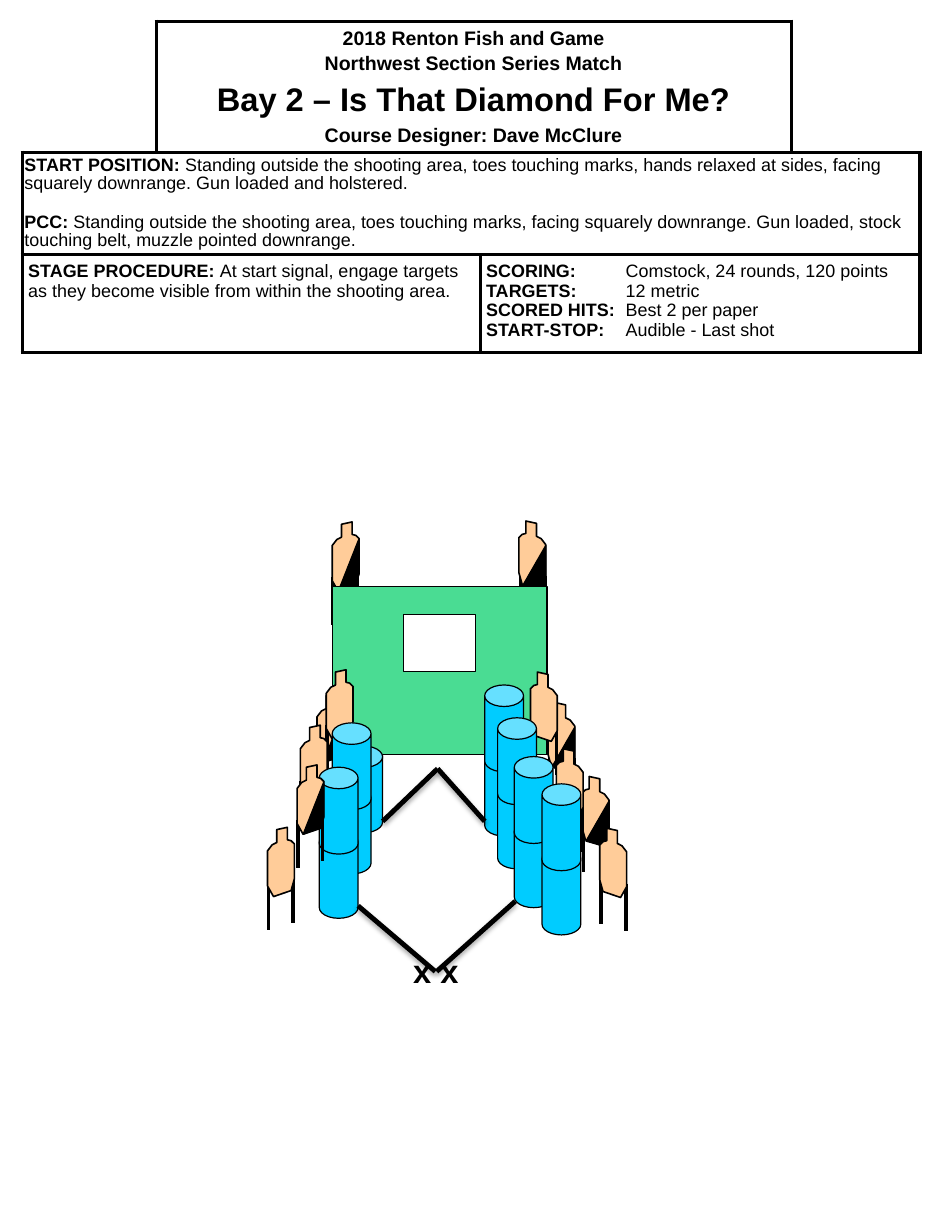
import pptx
import pptx.dml.color
import pptx.enum.shapes
import pptx.enum.text
import pptx.oxml
import pptx.oxml.ns
import pptx.util
from lxml import etree

Cm = pptx.util.Cm
Pt = pptx.util.Pt

COLORS = {"ink": "000000", "paper": "FFFFFF", "card": "FFCC99", "wall": "4ADC93", "barrel": "00CCFF"}

TARGET_WIDTH = 0.58
TARGET_OUTLINE = [(0.2, 0.05), (0.43, 0), (0.43, 0.27), (0.51, 0.29), (0.58, 0.36), (0.58, 1.12),
                  (0.51, 1.37), (0.13, 1.5), (0, 1.27), (0, 0.51), (0.1, 0.38), (0.2, 0.33)]
TARGET_LEGS = [(0.02, 1.2), (0.55, 1.04)]
LEG_HEIGHT = 1.03
SHADES = {"left": [(0.13, 1.5), (0.51, 1.37), (0.58, 1.12), (0.58, 0.36)],
          "right": [(0.08, 1.4), (0.43, 1.5), (0.58, 1.27), (0.58, 0.53)]}

BARREL_WIDTH, BARREL_HEIGHT, BARREL_STEP = 0.84, 1.88, 1.39

REAR_TARGETS = [(12.6, 16.81, "right"), (11.23, 11.28, "right"), (11.86, 15.21, "right"), (7.19, 11.3, "left")]
OPEN_TARGETS = [(7.06, 14.5, "left"), (6.5, 15.7, "left"), (5.79, 17.91, "left"),
                (11.48, 14.55, "right"), (12.04, 16.21, "right"), (12.98, 17.93, "right")]
BARREL_STACKS = [(7.19, 15.65), (6.91, 16.61), (10.49, 14.83), (10.77, 15.54), (11.13, 16.38)]
FAULT_LINES = [((9.47, 16.64), (8.28, 17.78)), ((9.47, 16.64), (10.49, 17.78)),
               ((7.75, 19.61), (9.42, 21.03)), ((11.15, 19.51), (9.45, 21.03))]

TITLE = [("2018 Renton Fish and Game", 12, 0), ("Northwest Section Series Match", 12, 2.4),
         ("Bay 2 – Is That Diamond For Me?", 20, 4), ("Course Designer: Dave McClure", 12, 4)]
START = [("START POSITION:", " Standing outside the shooting area, toes touching marks, hands relaxed at sides, "
          "facing squarely downrange. Gun loaded and holstered."),
         ("PCC: ", "Standing outside the shooting area, toes touching marks, facing squarely downrange. "
          "Gun loaded, stock touching belt, muzzle pointed downrange.")]
PROCEDURE = [("STAGE PROCEDURE: ", "At start signal, engage targets as they become visible "
              "from within the shooting area.")]
SCORING = [("SCORING:", "\tComstock, 24 rounds, 120 points"), ("TARGETS:", "\t12 metric"),
           ("SCORED HITS:", "\tBest 2 per paper"), ("START-STOP:", "\tAudible - Last shot")]


def rgb(name):
    return pptx.dml.color.RGBColor.from_string(COLORS[name])


def paint(shape, fill, width):
    shape.shadow.inherit = False
    shape.fill.solid()
    shape.fill.fore_color.rgb = rgb(fill)
    shape.line.color.rgb = rgb("ink")
    shape.line.width = Pt(width)


def add_outline(shapes, loops, fill, width):
    loops = [[(Cm(x), Cm(y)) for x, y in loop] for loop in loops]
    builder = shapes.build_freeform(*loops[0][0], scale=1.0)
    builder.add_line_segments(loops[0][1:], close=True)
    for loop in loops[1:]:
        builder.move_to(*loop[0])
        builder.add_line_segments(loop[1:], close=True)
    paint(builder.convert_to_shape(), fill, width)


def add_line(shapes, start, end, width):
    line = shapes.add_connector(pptx.enum.shapes.MSO_CONNECTOR.STRAIGHT, *[Cm(v) for v in (*start, *end)])
    line.line.color.rgb = rgb("ink")
    line.line.width = Pt(width)
    return etree.SubElement(line._element.spPr, pptx.oxml.ns.qn("a:effectLst"))


def add_fault_line(shapes, start, end):
    effects = add_line(shapes, start, end, 3)
    effects.append(pptx.oxml.parse_xml(
        f'<a:outerShdw {pptx.oxml.ns.nsdecls("a")} blurRad="{Pt(3.1)}" dist="{Pt(1.8)}" dir="5400000" '
        f'rotWithShape="0"><a:srgbClr val="{COLORS["ink"]}"><a:alpha val="35000"/></a:srgbClr></a:outerShdw>'))


def add_target(shapes, left, top, side, shaded=False):
    parts = shapes.add_group_shape().shapes

    def place(x, y):
        return left + (x if side == "left" else TARGET_WIDTH - x), top + y

    for x, y in TARGET_LEGS:
        add_line(parts, place(x, y), place(x, y + LEG_HEIGHT), 2.25)
    add_outline(parts, [[place(x, y) for x, y in TARGET_OUTLINE]], "card", 1)
    if shaded:
        add_outline(parts, [[(left + x, top + y) for x, y in SHADES[side]]], "ink", 0)


def add_barrel(shapes, left, top):
    barrel = shapes.add_shape(pptx.enum.shapes.MSO_SHAPE.CAN, Cm(left), Cm(top), Cm(BARREL_WIDTH), Cm(BARREL_HEIGHT))
    barrel.adjustments[0] = 0.554
    paint(barrel, "barrel", 0.75)


def add_stack(shapes, left, top):
    add_barrel(shapes, left, top + BARREL_STEP)
    add_barrel(shapes, left, top)


def box_loop(left, top, right, bottom):
    return [(left, top), (right, top), (right, bottom), (left, bottom)]


def style_cell(cell, sides):
    properties = cell._tc.get_or_add_tcPr()
    for side in "LRTB":
        fill = f'<a:solidFill><a:srgbClr val="{COLORS["ink"]}"/></a:solidFill>' if side in sides else "<a:noFill/>"
        properties.append(pptx.oxml.parse_xml(
            f'<a:ln{side} {pptx.oxml.ns.nsdecls("a")} w="{Pt(2.25)}">{fill}</a:ln{side}>'))
    cell.fill.solid()
    cell.fill.fore_color.rgb = rgb("paper")
    cell.margin_left = cell.margin_right = cell.margin_top = cell.margin_bottom = Cm(0.13)


def set_font(paragraph, size):
    paragraph.font.name = "Arial"
    paragraph.font.size = Pt(size)
    paragraph.font.color.rgb = rgb("ink")


def write_entries(cell, entries, gap=0, spacing=None, tab=None):
    for index, (label, detail) in enumerate(entries):
        paragraph = cell.text_frame.paragraphs[0] if index == 0 else cell.text_frame.add_paragraph()
        if index:
            paragraph.space_before = Pt(gap)
        if spacing:
            paragraph.line_spacing = spacing
        if tab:
            paragraph._p.get_or_add_pPr().append(pptx.oxml.parse_xml(
                f'<a:tabLst {pptx.oxml.ns.nsdecls("a")}><a:tab pos="{Cm(tab)}" algn="l"/></a:tabLst>'))
        set_font(paragraph, 11)
        for text, bold in ((label, True), (detail, False)):
            run = paragraph.add_run()
            run.text = text
            run.font.bold = bold


def write_title(cell):
    cell.vertical_anchor = pptx.enum.text.MSO_ANCHOR.MIDDLE
    for index, (text, size, gap) in enumerate(TITLE):
        paragraph = cell.text_frame.paragraphs[0] if index == 0 else cell.text_frame.add_paragraph()
        paragraph.text = text
        paragraph.alignment = pptx.enum.text.PP_ALIGN.CENTER
        if index:
            paragraph.space_before = Pt(gap)
        set_font(paragraph, size)
        paragraph.font.bold = True


def add_briefing(shapes):
    widths, heights = [2.9, 7.01, 6.73, 2.79], [2.83, 2.22, 2.11]
    table = shapes.add_table(3, 4, Cm(0.48), Cm(0.46), Cm(sum(widths)), Cm(sum(heights))).table
    for column, width in zip(table.columns, widths):
        column.width = Cm(width)
    for row, height in zip(table.rows, heights):
        row.height = Cm(height)
    open_corners = {(0, 0): "RB", (0, 3): "LB"}
    for row in range(3):
        for column in range(4):
            style_cell(table.cell(row, column), open_corners.get((row, column), "LRTB"))
    for row, first, last in ((0, 1, 2), (1, 0, 3), (2, 0, 1), (2, 2, 3)):
        table.cell(row, first).merge(table.cell(row, last))
    start = table.cell(1, 0)
    start.margin_left = start.margin_right = Cm(0.05)
    start.margin_top = start.margin_bottom = Cm(0.1)
    write_title(table.cell(0, 1))
    write_entries(start, START, gap=13, spacing=0.9)
    write_entries(table.cell(2, 0), PROCEDURE)
    write_entries(table.cell(2, 2), SCORING, tab=3.02)


def add_start_marks(shapes):
    marks = shapes.add_textbox(Cm(8.69), Cm(20.47), Cm(1.57), Cm(1.12)).text_frame
    marks.word_wrap = True
    marks.auto_size = pptx.enum.text.MSO_AUTO_SIZE.SHAPE_TO_FIT_TEXT
    marks.text = "x x"
    set_font(marks.paragraphs[0], 20)
    marks.paragraphs[0].font.bold = True


def main():
    """Build the stage briefing with its course diagram."""
    deck = pptx.Presentation()
    deck.slide_width, deck.slide_height = Cm(20.32), Cm(26.67)
    shapes = deck.slides.add_slide(deck.slide_layouts[6]).shapes
    add_briefing(shapes)
    add_target(shapes, 6.86, 15.01, "left", shaded=True)
    add_barrel(shapes, 7.44, 14.76)
    for target in REAR_TARGETS:
        add_target(shapes, *target, shaded=True)
    add_outline(shapes, [box_loop(7.19, 12.7, 11.84, 16.33), box_loop(8.74, 13.31, 10.29, 14.53)], "wall", 0)
    for target in OPEN_TARGETS:
        add_target(shapes, *target)
    add_barrel(shapes, 7.44, 14.76 + BARREL_STEP)
    for stack in BARREL_STACKS:
        add_stack(shapes, *stack)
    for line in FAULT_LINES:
        add_fault_line(shapes, *line)
    add_stack(shapes, 11.73, 16.97)
    add_target(shapes, 6.43, 16.56, "left", shaded=True)
    add_start_marks(shapes)
    deck.save("out.pptx")


if __name__ == "__main__":
    main()
